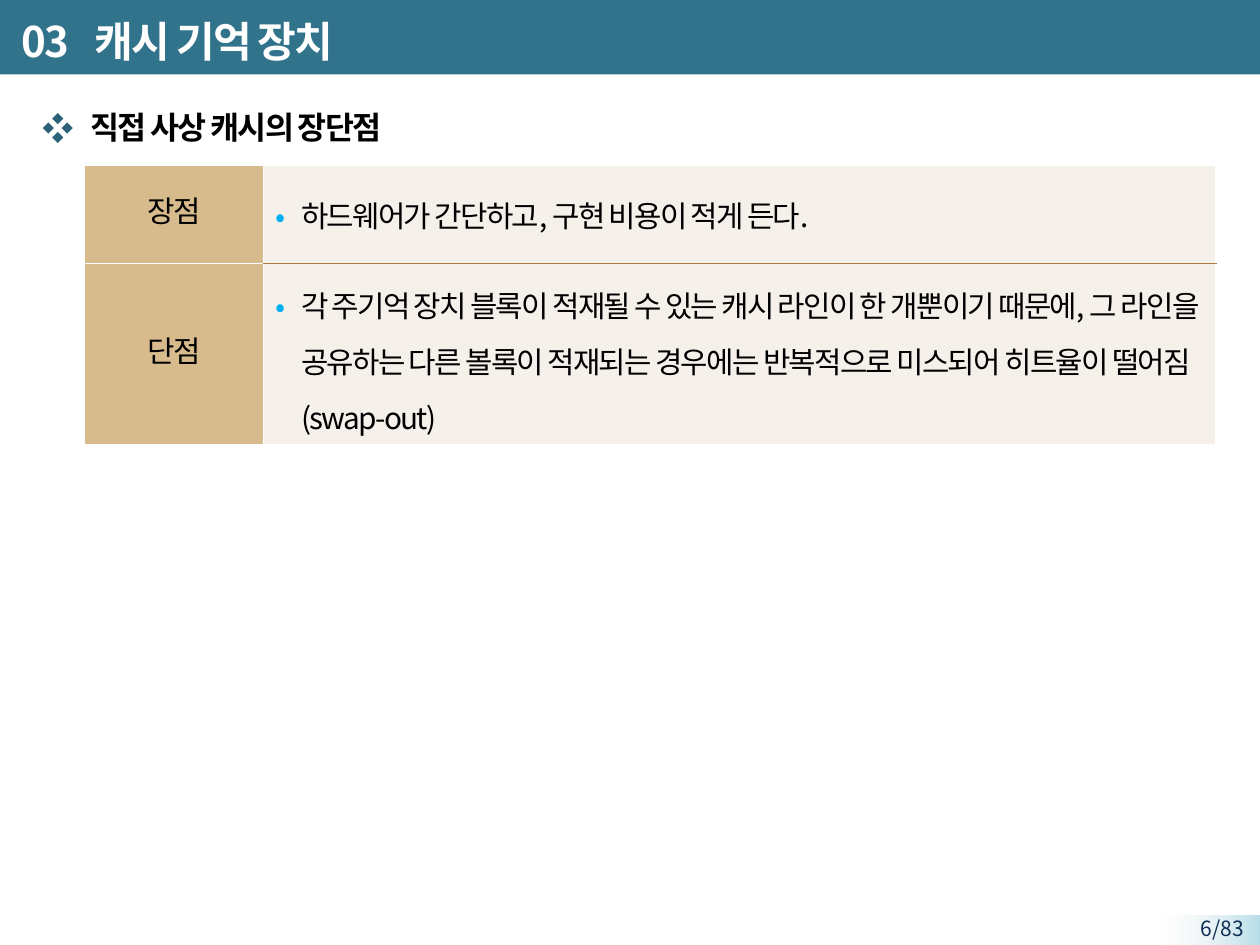
import pptx
import pptx.dml.color
import pptx.enum.shapes
import pptx.enum.text
import pptx.oxml
import pptx.oxml.ns
import pptx.util
from lxml import etree

Inches = pptx.util.Inches
Pt = pptx.util.Pt
ALIGN = pptx.enum.text.PP_ALIGN
MIDDLE = pptx.enum.text.MSO_ANCHOR.MIDDLE
RECTANGLE = pptx.enum.shapes.MSO_SHAPE.RECTANGLE
qn = pptx.oxml.ns.qn

FONT = "Noto Sans CJK KR"
TITLE = "03\t캐시 기억 장치"
HEADING = "직접 사상 캐시의 장단점"
PAGE = "6/83"
COMPARISON = [
    ("장점", "하드웨어가 간단하고, 구현 비용이 적게 든다.", {"space_after": Pt(3)}),
    ("단점", "각 주기억 장치 블록이 적재될 수 있는 캐시 라인이 한 개뿐이기 때문에, 그 라인을 "
             "공유하는 다른 볼록이 적재되는 경우에는 반복적으로 미스되어 히트율이 떨어짐(swap-out)",
     {"line_spacing": 1.3}),
]
COLUMN_WIDTHS = [1.42, 7.56]
ROW_HEIGHTS = [0.78, 1.34]
WHITE, BLACK, TEAL, TAN = "FFFFFF", "000000", "32738C", "C89F5D"
DIVIDER = "AD7842"


def rgb(value):
    return pptx.dml.color.RGBColor.from_string(value)


def add_node(parent, tag, **attributes):
    return etree.SubElement(parent, qn(tag), attributes)


def set_alpha(color_parent, percent):
    color = next(color_parent.iter(qn("a:srgbClr")))
    add_node(color, "a:alpha", val=str(percent * 1000))


def write(frame, text, size, color=BLACK, bold=False, tracking=-100, **layout):
    paragraph = frame.paragraphs[0]
    for name, value in layout.items():
        setattr(paragraph, name, value)
    run = paragraph.add_run()
    run.text = text
    for name, value in {"size": Pt(size), "bold": bold, "name": FONT}.items():
        setattr(run.font, name, value)
    run.font.color.rgb = rgb(color)
    properties = run._r.get_or_add_rPr()
    properties.set("spc", str(tracking))
    add_node(properties, "a:ea", typeface=FONT)
    return paragraph


def add_bullet(paragraph, symbol, color, left, hanging):
    properties = paragraph._p.get_or_add_pPr()
    properties.set("marL", str(Inches(left)))
    properties.set("indent", str(-Inches(hanging)))
    add_node(add_node(properties, "a:buClr"), "a:srgbClr", val=color)
    add_node(properties, "a:buFont", typeface=FONT)
    add_node(properties, "a:buChar", char=symbol)


def set_borders(cell, **colors):
    properties = cell._tc.get_or_add_tcPr()
    for position, side in enumerate("LRTB"):
        line = etree.Element(qn("a:ln" + side), w=str(Pt(1)))
        fill = add_node(line, "a:solidFill")
        add_node(fill, "a:srgbClr", val=colors.get(side, WHITE))
        properties.insert(position, line)


def place(shape, left, top, width, height):
    bounds = {"left": left, "top": top, "width": width, "height": height}
    for name, value in bounds.items():
        setattr(shape, name, Inches(value))


def add_band(shapes, left, top, width, height):
    band = shapes.add_shape(RECTANGLE, *map(Inches, (left, top, width, height)))
    band.shadow.inherit = False
    band.line.fill.background()
    return band


def add_comparison(shapes):
    size = sum(COLUMN_WIDTHS), sum(ROW_HEIGHTS)
    frame = shapes.add_table(len(ROW_HEIGHTS), len(COLUMN_WIDTHS),
                             *map(Inches, (0.67, 1.31, *size)))
    table = frame.table
    table.first_row = table.horz_banding = False
    for column, width in zip(table.columns, COLUMN_WIDTHS):
        column.width = Inches(width)
    for row, height, (label, detail, spacing) in zip(table.rows, ROW_HEIGHTS, COMPARISON):
        row.height = Inches(height)
        label_cell, detail_cell = row.cells
        for cell, color in ((label_cell, TAN), (detail_cell, "F5F0EA")):
            cell.vertical_anchor = MIDDLE
            cell.fill.solid()
            cell.fill.fore_color.rgb = rgb(color)
        set_alpha(label_cell._tc.tcPr, 70)
        write(label_cell.text_frame, label, 17, alignment=ALIGN.CENTER, line_spacing=Pt(19))
        point = write(detail_cell.text_frame, detail, 17)
        add_bullet(point, "•", "00B0F0", 0.2, 0.2)
        for name, value in spacing.items():
            setattr(point, name, value)
    for cell in table.iter_cells():
        if cell is not None:
            cell.text_frame.word_wrap = True
    set_borders(table.cell(0, 0))
    set_borders(table.cell(1, 0))
    set_borders(table.cell(0, 1), B=DIVIDER)
    set_borders(table.cell(1, 1), T=DIVIDER)


def main():
    deck = pptx.Presentation()
    deck.slide_width, deck.slide_height = Inches(10), Inches(7.5)
    slide = deck.slides.add_slide(deck.slide_layouts[1])
    shapes = slide.shapes
    title, body = shapes.title, slide.placeholders[1]

    title_band = add_band(shapes, 0, -0.02, 10, 0.61)
    title_band.fill.solid()
    title_band.fill.fore_color.rgb = rgb(TEAL)

    page_band = add_band(shapes, 9.2, 7.27, 0.8, 0.24)
    page_band.fill.gradient()
    page_band.fill.gradient_angle = 180
    for stop, color in zip(page_band.fill.gradient_stops, ("B7DEE8", "F2F2F2")):
        stop.color.rgb = rgb(color)
    set_alpha(page_band._element.spPr.findall(".//" + qn("a:gs"))[-1], 0)

    page_number = shapes.add_textbox(*map(Inches, (9.05, 7.22, 0.92, 0.23)))
    page_number.text_frame.word_wrap = True
    write(page_number.text_frame, PAGE, 12, "0F2E53", tracking=0, alignment=ALIGN.RIGHT)

    for placeholder in (title, body):
        shapes._spTree.append(placeholder._element)
    place(title, 0.07, 0.06, 8.51, 0.52)
    title.text_frame.vertical_anchor = MIDDLE
    name = write(title.text_frame, TITLE, 24, WHITE, True, alignment=ALIGN.LEFT)
    tabs = add_node(name._p.get_or_add_pPr(), "a:tabLst")
    add_node(tabs, "a:tab", pos=str(Inches(0.58)), algn="l")

    place(body, 0.07, 0.78, 9.8, 6.2)
    heading = write(body.text_frame, HEADING, 18, bold=True, line_spacing=1.1,
                    space_before=Pt(0), space_after=Pt(6))
    add_bullet(heading, "❖", "2B6278", 0.55, 0.38)

    add_comparison(shapes)
    deck.save("out.pptx")


if __name__ == "__main__":
    main()
